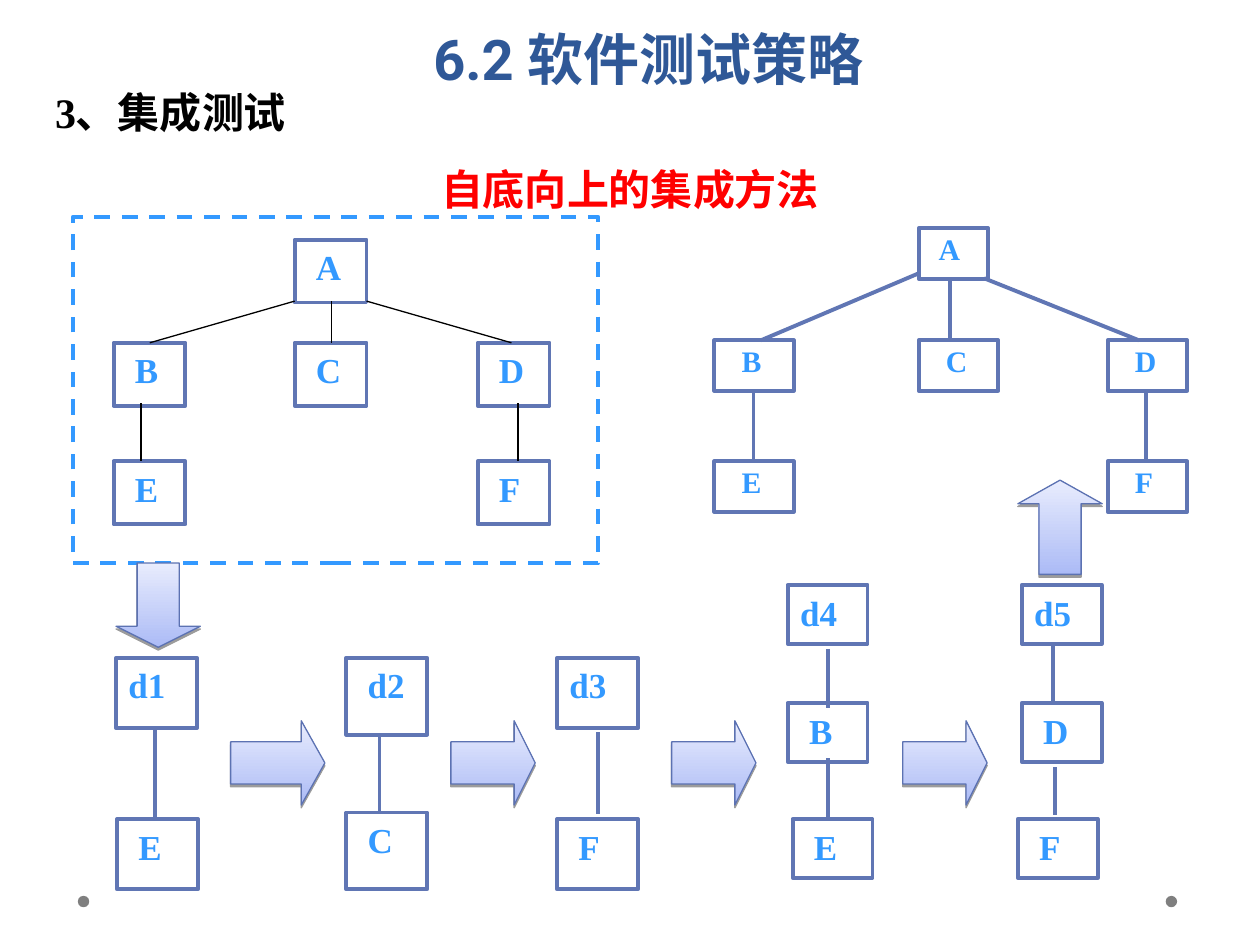
from lxml import etree
from pptx import Presentation
from pptx.dml.color import RGBColor
from pptx.enum.dml import MSO_LINE_DASH_STYLE as Dash
from pptx.enum.shapes import MSO_CONNECTOR as Connector, MSO_SHAPE as Shape
from pptx.enum.text import MSO_ANCHOR as Anchor, PP_ALIGN as Align
from pptx.oxml import parse_xml
from pptx.oxml.ns import qn
from pptx.util import Cm, Pt

color = RGBColor.from_string
SERIF = "Times New Roman"
BLUE = "6076B4"
LABEL = "3399FF"


def add_shape(kind, left, top, width, height, fill, line, weight):
    shape = slide.shapes.add_shape(kind, Cm(left), Cm(top), Cm(width), Cm(height))
    shape.shadow.inherit = False
    if fill:
        shape.fill.solid()
        shape.fill.fore_color.rgb = color(fill)
    else:
        shape.fill.background()
    if line:
        shape.line.color.rgb = color(line)
        shape.line.width = Pt(weight)
    else:
        shape.line.fill.background()
    return shape


def set_text(shape, text, font, size, text_color, align, spacing, before=0):
    shape.text_frame.word_wrap = True
    shape.text_frame.text = text
    paragraph = shape.text_frame.paragraphs[0]
    paragraph.alignment = align
    paragraph.line_spacing = spacing
    paragraph.space_before = Pt(before)
    run = paragraph.runs[0]
    run.font.name = font
    run.font.size = Pt(size)
    run.font.bold = True
    run.font.color.rgb = color(text_color)


presentation = Presentation()
presentation.slide_width = Cm(25.4)
presentation.slide_height = Cm(19.05)
slide = presentation.slides.add_slide(presentation.slide_layouts[5])

for left in (23.5, 1.57):
    add_shape(Shape.OVAL, left, 18.06, 0.23, 0.23, "7F7F7F", None, 0)

title = slide.shapes.title
title.left, title.top, title.width, title.height = Cm(1.27), Cm(2.69), Cm(22.86), Cm(1.75)
title.text_frame.vertical_anchor = Anchor.BOTTOM
set_text(title, "自底向上的集成方法", "Roboto", 24, "FF0000", Align.CENTER, Pt(58))

box_groups = [
    (20, 1.0, 1.45, 1.27, 0.43, [
        ("A", 5.94, 4.83), ("B", 2.29, 6.91), ("C", 5.94, 6.91),
        ("D", 9.63, 6.91), ("E", 2.29, 9.3), ("F", 9.63, 9.3)]),
    (20, 1.0, 1.63, 1.55, 0.43, [("d2", 6.98, 13.26), ("C", 6.98, 16.38)]),
    (20, 1.0, 1.63, 1.42, 0.25, [("d1", 2.34, 13.26), ("d3", 11.23, 13.26)]),
    (20, 1.0, 1.63, 1.42, 0.43, [("E", 2.36, 16.51), ("F", 11.23, 16.51)]),
    (20, 1.0, 1.61, 1.19, 0.25, [("d4", 15.88, 11.79), ("d5", 20.6, 11.79)]),
    (20, 1.0, 1.61, 1.19, 0.43, [
        ("B", 15.88, 14.17), ("E", 15.98, 16.51),
        ("D", 20.6, 14.17), ("F", 20.52, 16.51)]),
    (17, 0.9, 1.4, 1.02, 0.4, [("A", 18.52, 4.6)]),
    (17, 0.9, 1.6, 1.02, 0.55, [
        ("B", 14.4, 6.86), ("C", 18.52, 6.86), ("D", 22.33, 6.86),
        ("E", 14.4, 9.3), ("F", 22.33, 9.3)]),
]
for size, spacing, width, height, indent, boxes in box_groups:
    for label, left, top in boxes:
        box = add_shape(Shape.RECTANGLE, left, top, width, height, "FFFFFF", BLUE, 2.25)
        box.text_frame.margin_left = Cm(indent)
        box.text_frame.vertical_anchor = Anchor.TOP
        set_text(box, label, SERIF, size, LABEL, Align.LEFT, spacing)

line_groups = [
    ("000000", 0.75, [
        (5.94, 6.07, 3.02, 6.91), (7.39, 6.07, 10.31, 6.91), (6.68, 6.07, 6.68, 6.91),
        (2.84, 8.13, 2.84, 9.3), (10.44, 8.13, 10.44, 9.3)]),
    (BLUE, 2.25, [
        (7.65, 14.81, 7.65, 16.38), (3.12, 14.66, 3.12, 16.54), (12.05, 14.76, 12.05, 16.41),
        (16.69, 13.08, 16.69, 14.27), (16.69, 15.29, 16.69, 16.51),
        (21.23, 12.98, 21.23, 14.17), (21.26, 15.47, 21.26, 16.43),
        (18.52, 5.51, 15.34, 6.86), (19.84, 5.61, 22.96, 6.86), (19.15, 5.64, 19.15, 6.86),
        (15.19, 7.87, 15.19, 9.3), (23.11, 7.87, 23.11, 9.3)]),
]
for line_color, weight, lines in line_groups:
    for ends in lines:
        connector = slide.shapes.add_connector(Connector.STRAIGHT, *map(Cm, ends))
        connector.line.color.rgb = color(line_color)
        connector.line.width = Pt(weight)
        etree.SubElement(connector._element.spPr, qn("a:effectLst"))

frame = add_shape(Shape.RECTANGLE, 1.47, 4.37, 10.59, 6.99, None, LABEL, 2.25)
frame.line.dash_style = Dash.DASH

SHADOW = (
    '<a:effectLst xmlns:a="http://schemas.openxmlformats.org/drawingml/2006/main">'
    '<a:outerShdw dist="20320" dir="5400000" rotWithShape="0">'
    '<a:srgbClr val="000000"><a:alpha val="38000"/></a:srgbClr>'
    '</a:outerShdw></a:effectLst>'
)
arrows = [
    (Shape.RIGHT_ARROW, 4.65, 14.53, 1.9, 1.7, 0.28),
    (Shape.RIGHT_ARROW, 9.09, 14.53, 1.7, 1.7, 0.25),
    (Shape.RIGHT_ARROW, 13.54, 14.53, 1.7, 1.7, 0.25),
    (Shape.RIGHT_ARROW, 18.2, 14.53, 1.7, 1.7, 0.25),
    (Shape.DOWN_ARROW, 2.34, 11.35, 1.7, 1.7, 0.25),
    (Shape.UP_ARROW, 20.52, 9.68, 1.7, 1.9, 0.28),
]
for kind, left, top, width, height, head in arrows:
    arrow = add_shape(kind, left, top, width, height, "ACBBF6", "5C72B2", 0.75)
    arrow.adjustments[0] = 0.5
    arrow.adjustments[1] = head
    arrow.fill.gradient()
    arrow.fill.gradient_angle = 90
    for stop, stop_color in zip(arrow.fill.gradient_stops, ("ACBBF6", "E8ECFD")):
        stop.color.rgb = color(stop_color)
    properties = arrow._element.spPr
    properties.replace(properties.find(qn("a:effectLst")), parse_xml(SHADOW))

heading = slide.shapes.add_textbox(Cm(1.65), Cm(-0.33), Cm(22.86), Cm(2.39))
set_text(heading, "6.2 软件测试策略", "Roboto", 32, "2F5897", Align.CENTER, Pt(58))

section = slide.shapes.add_textbox(Cm(0.86), Cm(1.32), Cm(22.91), Cm(1.57))
set_text(section, "3、集成测试", SERIF, 24, "000000", Align.LEFT, 1.3)

presentation.save("out.pptx")
